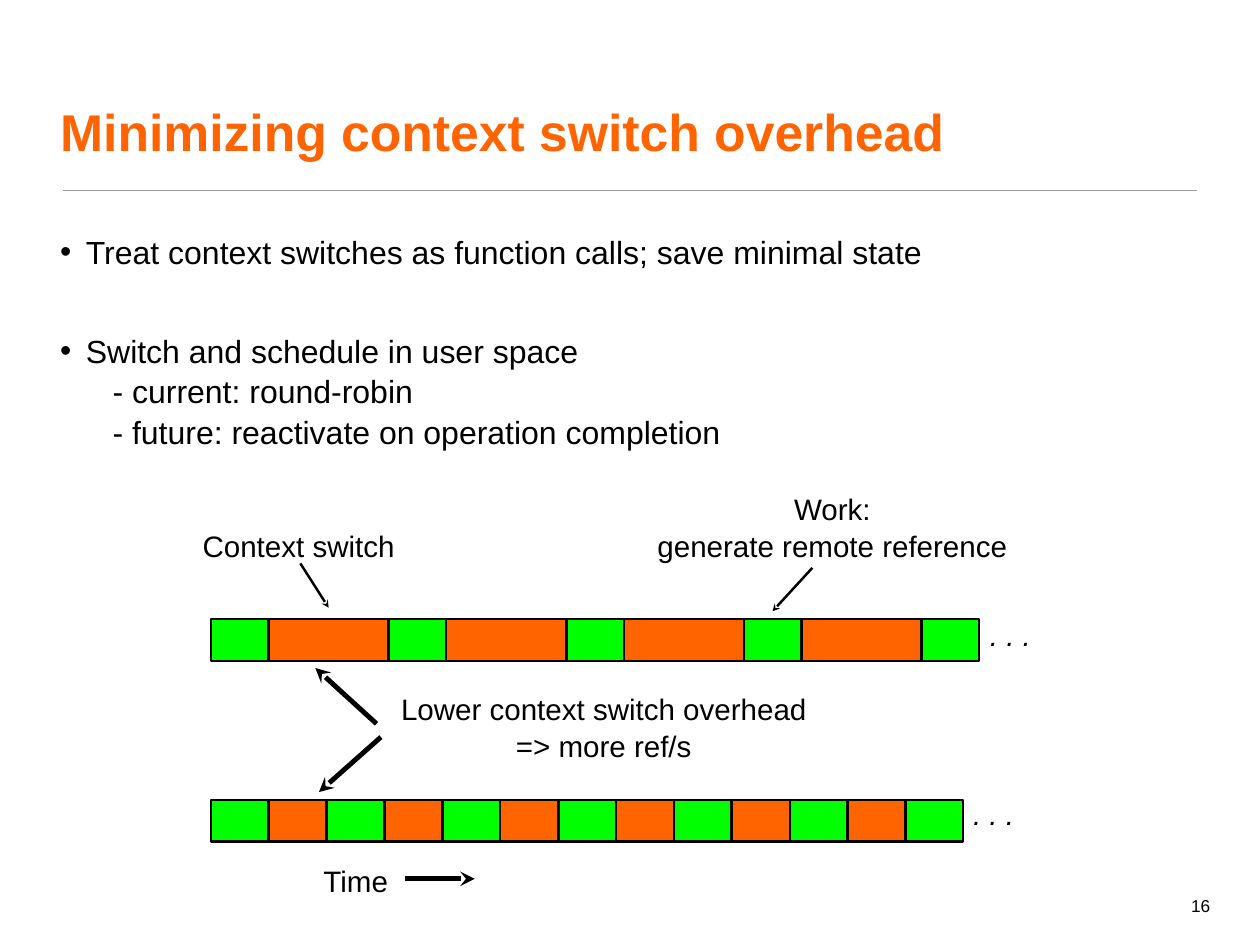
"""Build the slide on minimizing context switch overhead."""
from lxml import etree
from pptx import Presentation
from pptx.dml.color import RGBColor
from pptx.enum.shapes import MSO_CONNECTOR, MSO_SHAPE
from pptx.enum.text import MSO_ANCHOR, MSO_AUTO_SIZE, PP_ALIGN
from pptx.oxml.ns import qn
from pptx.util import Pt

STRAIGHT = MSO_CONNECTOR.STRAIGHT
RECTANGLE = MSO_SHAPE.RECTANGLE
TOP, BOTTOM = MSO_ANCHOR.TOP, MSO_ANCHOR.BOTTOM
GROW, FIXED = MSO_AUTO_SIZE.SHAPE_TO_FIT_TEXT, MSO_AUTO_SIZE.NONE
LEFT, CENTER, RIGHT = PP_ALIGN.LEFT, PP_ALIGN.CENTER, PP_ALIGN.RIGHT

BLACK = RGBColor(0x00, 0x00, 0x00)
ORANGE = RGBColor(0xFF, 0x64, 0x00)
GREEN = RGBColor(0x00, 0xFF, 0x00)
GRAY = RGBColor(0x9A, 0x9A, 0x9A)

SWITCH_WIDTH = 46.8
BAR_HEIGHT = 33.8
BAR_LEFT = 171.4


def apply(target, values):
    for name, value in values.items():
        setattr(target, name, value)


class SlideBuilder:
    def __init__(self, slide, font_name):
        self.shapes = slide.shapes
        self.font_name = font_name

    def text(self, box, lines, size, color=BLACK, align=LEFT, anchor=TOP,
             inset=(0, 0), wrap=True, fit=FIXED, spacing=1.0, **font):
        frame = self.shapes.add_textbox(*map(Pt, box)).text_frame
        horizontal, vertical = map(Pt, inset)
        apply(frame, {
            "word_wrap": wrap, "auto_size": fit, "vertical_anchor": anchor,
            "margin_left": horizontal, "margin_right": horizontal,
            "margin_top": vertical, "margin_bottom": vertical,
        })
        for index, line in enumerate(lines):
            paragraph = frame.paragraphs[0] if index == 0 else frame.add_paragraph()
            apply(paragraph, {"alignment": align, "line_spacing": spacing})
            run = paragraph.add_run()
            run.text = line
            apply(run.font, {"name": self.font_name, "size": Pt(size), **font})
            run.font.color.rgb = color
        return frame.paragraphs

    def label(self, box, *lines, **font):
        spacing = 1.05 if len(lines) > 1 else 1.0
        self.text(box, lines, 24, align=CENTER, anchor=BOTTOM, wrap=False,
                  fit=GROW, spacing=spacing, **font)

    def indent(self, paragraph, margin, bullet=None):
        properties = paragraph._p.get_or_add_pPr()
        properties.set("marL", str(Pt(margin)))
        if bullet:
            properties.set("indent", str(-Pt(margin)))
            color = etree.SubElement(properties, qn("a:buClr"))
            etree.SubElement(color, qn("a:srgbClr"), val=str(BLACK))
            etree.SubElement(properties, qn("a:buFont"), typeface=self.font_name)
            etree.SubElement(properties, qn("a:buChar"), char=bullet)

    def block(self, left, top, width, color):
        shape = self.shapes.add_shape(
            RECTANGLE, Pt(left), Pt(top), Pt(width), Pt(BAR_HEIGHT))
        shape.shadow.inherit = False
        shape.fill.solid()
        shape.fill.fore_color.rgb = color
        shape.line.color.rgb = BLACK
        shape.line.width = Pt(2)

    def timeline(self, top, switches, pitch, work_width):
        starts = [BAR_LEFT + pitch * index for index in range(switches)]
        for start in starts[:-1]:
            self.block(start + SWITCH_WIDTH, top, work_width, ORANGE)
        for start in starts:
            self.block(start, top, SWITCH_WIDTH, GREEN)

    def line(self, start, end, width, color=BLACK, arrow=True):
        connector = self.shapes.add_connector(STRAIGHT, *map(Pt, start + end))
        connector.line.color.rgb = color
        connector.line.width = Pt(width)
        if arrow:
            outline = connector.line._get_or_add_ln()
            etree.SubElement(outline, qn("a:tailEnd"), type="stealth")
        etree.SubElement(connector._element.spPr, qn("a:effectLst"))


def main():
    presentation = Presentation()
    presentation.slide_width, presentation.slide_height = Pt(1024), Pt(768)
    slide = presentation.slides.add_slide(presentation.slide_layouts[6])
    builder = SlideBuilder(slide, "Arial")

    builder.line((51, 154.8), (972.7, 154.8), 1, GRAY, arrow=False)
    builder.text((966.2, 724.3, 24.5, 23.8), ["16"], 14, align=RIGHT,
                 inset=(7.2, 3.6), wrap=False)
    builder.text((44.6, 25.9, 933.8, 110.2), ["Minimizing context switch overhead"],
                 42, ORANGE, anchor=BOTTOM, inset=(4.3, 4.3), bold=True)

    treat, schedule, *details = builder.text((44.6, 182.9, 933.8, 231.1), [
        "Treat context switches as function calls; save minimal state",
        "Switch and schedule in user space",
        "- current: round-robin",
        "- future: reactivate on operation completion",
    ], 26, inset=(4.3, 4.3), spacing=1.05)
    schedule.space_before = Pt(48)
    for paragraph in (treat, schedule):
        builder.indent(paragraph, 20.9, "•")
    for paragraph in details:
        builder.indent(paragraph, 42.6)

    builder.timeline(503.3, switches=5, pitch=144.4, work_width=100)
    builder.timeline(650.2, switches=7, pitch=94.1, work_width=49.7)

    builder.label((314.6, 555.8, 352.1, 64.8),
                  "Lower context switch overhead", "=> more ref/s")
    builder.label((258.5, 694.1, 61.2, 36), "Time")
    builder.label((530.6, 393.1, 291.6, 64.8), "Work:", "generate remote reference")
    builder.label((157.7, 421.9, 169.9, 36), "Context switch")
    for left, top in ((799.9, 493.9), (786.2, 640.1)):
        builder.label((left, top, 42.5, 36), ". . .", italic=True)

    for start, end, width in (
        ((306, 588.2), (256.3, 542.9), 4),
        ((309.6, 599), (259.2, 643.7), 4),
        ((660.2, 461.5), (627.8, 496.8), 2),
        ((244.1, 457.9), (267.1, 493.9), 2),
        ((329, 714.2), (385.9, 714.2), 4),
    ):
        builder.line(start, end, width)

    presentation.save("out.pptx")


if __name__ == "__main__":
    main()
